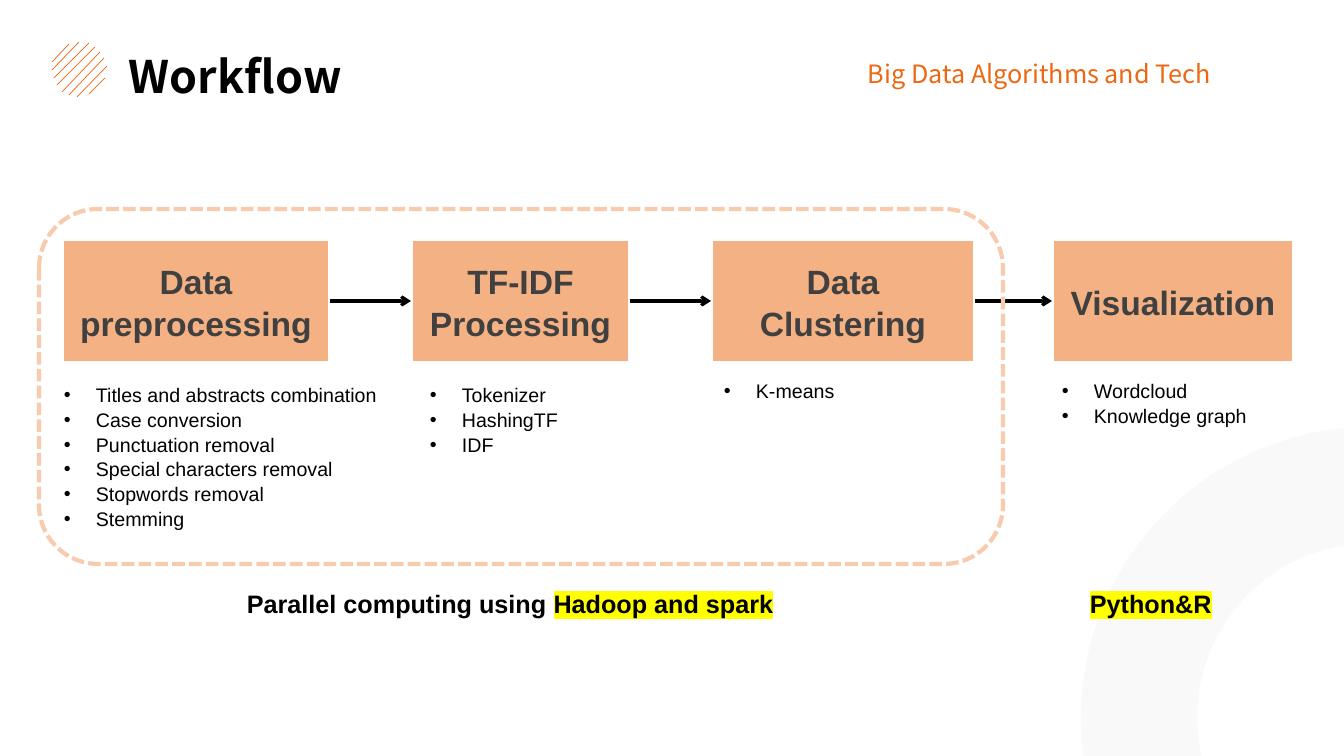
import pptx
import pptx.util
import pptx.dml.color
import pptx.enum.dml
import pptx.enum.shapes
import pptx.enum.text
import pptx.oxml.ns
from lxml import etree

RGBColor = pptx.dml.color.RGBColor
Shapes = pptx.enum.shapes.MSO_SHAPE
Anchor = pptx.enum.text.MSO_ANCHOR
Align = pptx.enum.text.PP_ALIGN

BLACK = RGBColor(0x00, 0x00, 0x00)
WHITE = RGBColor(0xFF, 0xFF, 0xFF)
ORANGE = RGBColor(0xEC, 0x67, 0x12)
PEACH = RGBColor(0xF4, 0xB1, 0x83)
PALE_PEACH = RGBColor(0xF8, 0xCB, 0xAD)
GRAY = RGBColor(0x40, 0x40, 0x40)
LIGHT_GRAY = RGBColor(0xF2, 0xF2, 0xF2)
YELLOW = RGBColor(0xFF, 0xFF, 0x00)

BODY_FONT = "Arial"
HEADING_FONT = "Noto Sans CJK SC"
LINE_SPACING = 1.05
EMU_PER_PX = 914400 / 100.8
BULLET_INDENT = 32
STEP_TOP, STEP_HEIGHT = 239, 124

HATCH_LINES = [
    (52, 62, 69, 44), (52, 70, 79, 42), (54, 78, 89, 43), (57, 85, 95, 47),
    (62, 92, 100, 52), (69, 95, 104, 58), (77, 97, 107, 66), (89, 94, 105, 78),
]
# name, left, width, then left, top, width and lines of the list below
STEPS = [
    ("Data preprocessing", 62, 268, (54, 377, 372),
     ["Titles and abstracts combination", "Case conversion", "Punctuation removal",
      "Special characters removal", "Stopwords removal", "Stemming"]),
    ("TF-IDF Processing", 411, 219, (420, 377, 251), ["Tokenizer", "HashingTF", "IDF"]),
    ("Data Clustering", 711, 264, (714, 373, 251), ["K-means"]),
    ("Visualization", 1052, 242, (1052, 373, 251), ["Wordcloud", "Knowledge graph"]),
]


def px(length):
    return pptx.util.Emu(round(length * EMU_PER_PX))


def add_element(parent, tag, **attributes):
    return etree.SubElement(parent, pptx.oxml.ns.qn(tag), attributes)


def set_font(para, size, color, name=BODY_FONT, bold=False):
    para.font.size = pptx.util.Pt(size)
    para.font.name = name
    para.font.bold = bold
    para.font.color.rgb = color


def add_line(page, ends, color, width):
    line = page.shapes.add_connector(
        pptx.enum.shapes.MSO_CONNECTOR.STRAIGHT, *[px(value) for value in ends])
    line.line.color.rgb = color
    line.line.width = pptx.util.Pt(width)
    add_element(line._element.spPr, "a:effectLst")
    return line


def add_arrow(page, source, target):
    arrow = add_line(page, (0, 0, 0, 0), BLACK, 2.25)
    arrow.begin_connect(source, 3)
    arrow.end_connect(target, 1)
    add_element(arrow.line._get_or_add_ln(), "a:tailEnd", type="arrow")


def add_shape(page, kind, left, top, width, height, fill=None):
    shape = page.shapes.add_shape(kind, px(left), px(top), px(width), px(height))
    shape.shadow.inherit = False
    if fill is None:
        shape.fill.background()
    else:
        shape.fill.solid()
        shape.fill.fore_color.rgb = fill
    return shape


def add_ring(page):
    ring = add_shape(page, Shapes.DONUT, 1081, 427, 581, 581, LIGHT_GRAY)
    ring.adjustments[0] = 0.2
    ring.line.fill.background()
    color = ring._element.spPr.find(".//" + pptx.oxml.ns.qn("a:srgbClr"))
    add_element(color, "a:alpha", val="40000")


def add_step(page, name, left, width):
    box = add_shape(page, Shapes.RECTANGLE, left, STEP_TOP, width, STEP_HEIGHT, PEACH)
    box.line.color.rgb = WHITE
    box.line.width = pptx.util.Pt(3)
    box.text_frame.word_wrap = True
    box.text_frame.vertical_anchor = Anchor.MIDDLE
    para = box.text_frame.paragraphs[0]
    para.text = name
    para.alignment = Align.CENTER
    para.line_spacing = LINE_SPACING
    set_font(para, 24, GRAY, bold=True)
    return box


def add_frame(page):
    frame = add_shape(page, Shapes.ROUNDED_RECTANGLE, 39, 209, 964, 355)
    frame.line.color.rgb = PALE_PEACH
    frame.line.width = pptx.util.Pt(3)
    frame.line.dash_style = pptx.enum.dml.MSO_LINE.SQUARE_DOT


def add_text_box(page, left, top, width, height):
    frame = page.shapes.add_textbox(px(left), px(top), px(width), px(height)).text_frame
    frame.word_wrap = True
    return frame


def add_heading(page, place, text, size, color, bold=False):
    para = add_text_box(page, *place).paragraphs[0]
    para.text = text
    set_font(para, size, color, HEADING_FONT, bold)


def add_bullets(page, left, top, width, lines):
    frame = add_text_box(page, left, top, width, 10 + 24 * len(lines))
    for index, line in enumerate(lines):
        para = frame.add_paragraph() if index else frame.paragraphs[0]
        para.text = line
        para.line_spacing = LINE_SPACING
        properties = para._p.get_or_add_pPr()
        properties.set("marL", str(px(BULLET_INDENT)))
        properties.set("indent", str(-px(BULLET_INDENT)))
        add_element(properties, "a:buFont", typeface=BODY_FONT)
        add_element(properties, "a:buChar", char="•")
        set_font(para, 14, BLACK)


def add_caption(page, left, width, plain, marked):
    """Add a bold line whose last words are highlighted."""
    para = add_text_box(page, left, 582, width, 40).paragraphs[0]
    para.line_spacing = LINE_SPACING
    if plain:
        para.add_run().text = plain
    span = para.add_run()
    span.text = marked
    highlight = add_element(span._r.get_or_add_rPr(), "a:highlight")
    add_element(highlight, "a:srgbClr", val=str(YELLOW))
    set_font(para, 18, BLACK, bold=True)


def main():
    deck = pptx.Presentation()
    deck.slide_width, deck.slide_height = px(1344), px(756)
    page = deck.slides.add_slide(deck.slide_layouts[6])

    for ends in HATCH_LINES:
        add_line(page, ends, ORANGE, 0.5)
    add_ring(page)
    add_heading(page, (119, 44, 448, 65), "Workflow", 32, BLACK, bold=True)
    add_heading(page, (858, 53, 399, 40), "Big Data Algorithms and Tech", 18, ORANGE)

    boxes = [add_step(page, name, left, width) for name, left, width, _, _ in STEPS]
    for source, target in zip(boxes, boxes[1:]):
        add_arrow(page, source, target)
    add_frame(page)
    for _, _, _, place, lines in STEPS:
        add_bullets(page, *place, lines)

    add_caption(page, 237, 621, "Parallel computing using ", "Hadoop and spark")
    add_caption(page, 1080, 240, "", "Python&R")
    deck.save("out.pptx")


if __name__ == "__main__":
    main()
